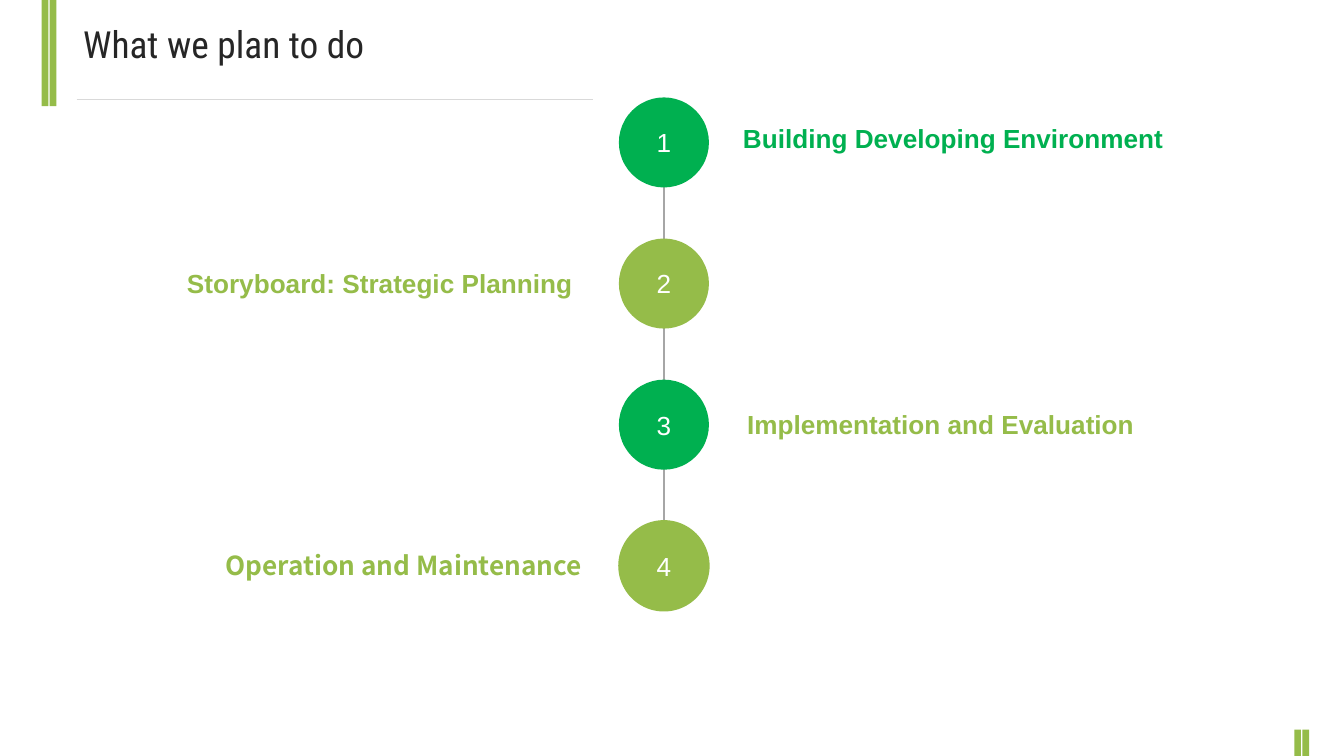
from lxml import etree
from pptx import Presentation
from pptx import util as u
from pptx.dml.color import RGBColor
from pptx.enum import shapes, text
from pptx.oxml.ns import qn

GREEN, LIME = "00B050", "95BC49"
ALIGN = text.PP_ALIGN


def color(value):
    return RGBColor.from_string(value)


def write(frame, words, size=14, font="Arial", fill="FFFFFF", bold=False,
          align=ALIGN.LEFT, anchor=text.MSO_ANCHOR.TOP, wrap=True):
    frame.word_wrap = wrap
    frame.vertical_anchor = anchor
    paragraph = frame.paragraphs[0]
    paragraph.alignment = align
    run = paragraph.add_run()
    run.text = words
    run.font.size = u.Pt(size)
    run.font.name = font
    run.font.bold = bold
    run.font.color.rgb = color(fill)


class Deck:
    def __init__(self, width, height):
        self.prs = Presentation()
        self.prs.slide_width = u.Inches(width)
        self.prs.slide_height = u.Inches(height)
        self.slide = self.prs.slides.add_slide(self.prs.slide_layouts[6])

    def shape(self, kind, left, top, width, height, fill):
        item = self.slide.shapes.add_shape(
            kind, *map(u.Inches, (left, top, width, height)))
        item.shadow.inherit = False
        item.fill.solid()
        item.fill.fore_color.rgb = color(fill)
        item.line.fill.background()
        return item

    def bar(self, left, top, height):
        self.shape(shapes.MSO_SHAPE.RECTANGLE, left, top, 0.05, height, LIME)

    def line(self, x1, y1, x2, y2, stroke):
        rule = self.slide.shapes.add_connector(
            shapes.MSO_CONNECTOR.STRAIGHT, *map(u.Inches, (x1, y1, x2, y2)))
        rule.line.color.rgb = color(stroke)
        rule.line.width = u.Pt(0.75)
        etree.SubElement(rule._element.spPr, qn("a:effectLst"))

    def label(self, words, left, top, width, height, **style):
        box = self.slide.shapes.add_textbox(
            *map(u.Inches, (left, top, width, height)))
        write(box.text_frame, words, **style)

    def milestone(self, number, center_x, center_y, size, fill):
        circle = self.shape(shapes.MSO_SHAPE.OVAL, center_x - size / 2,
                            center_y - size / 2, size, size, fill)
        write(circle.text_frame, str(number), align=ALIGN.CENTER,
              anchor=text.MSO_ANCHOR.MIDDLE, wrap=False)


def main():
    deck = Deck(10, 10 * 9 / 16)
    for left in (0.31, 0.37):
        deck.bar(left, 0, 0.79)
    for left in (9.63, 9.69):
        deck.bar(left, 5.43, 0.2)
    deck.line(0.57, 0.74, 4.41, 0.74, "D9D9D9")
    deck.label("What we plan to do", 0.52, 0.11, 4.23, 0.44,
               size=20, font="Roboto Condensed", fill="262626")

    axis_x, first_y, step = 4.94, 1.06, 1.05
    deck.line(axis_x, 1.12, axis_x, 4.27, "A6A6A6")
    for index, (size, fill) in enumerate(
            [(0.67, GREEN), (0.67, LIME), (0.67, GREEN), (0.68, LIME)]):
        deck.milestone(index + 1, axis_x, first_y + index * step, size, fill)

    stages = [
        ("Building Developing Environment", 5.43, 0.86, 3.93, GREEN, "Arial", ALIGN.LEFT),
        ("Storyboard: Strategic Planning", 1.17, 1.94, 3.19, LIME, "Arial", ALIGN.RIGHT),
        ("Implementation and Evaluation", 5.46, 2.99, 3.15, LIME, "Arial", ALIGN.LEFT),
        ("Operation and Maintenance", 1.24, 4.04, 3.19, LIME, "Noto Sans CJK SC", ALIGN.RIGHT),
    ]
    for words, left, top, width, fill, font, align in stages:
        deck.label(words, left, top, width, 0.34,
                   font=font, fill=fill, bold=True, align=align)
    deck.prs.save("out.pptx")


if __name__ == "__main__":
    main()
